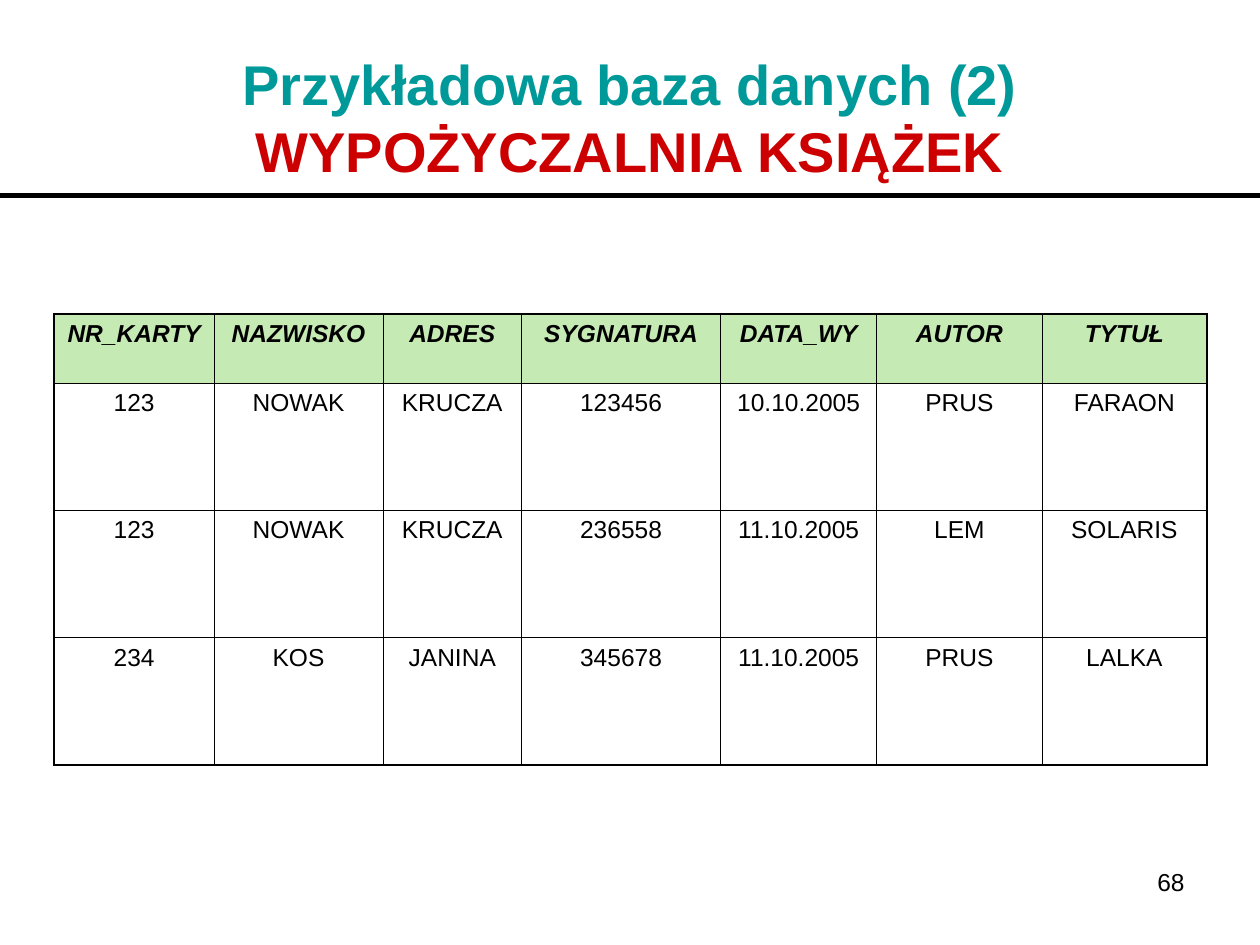
from typing import NamedTuple

import pptx
import pptx.dml.color
import pptx.enum.shapes
import pptx.enum.text
import pptx.oxml
import pptx.oxml.ns
import pptx.util
from pptx.util import Inches

ALIGN = pptx.enum.text.PP_ALIGN
ANCHOR = pptx.enum.text.MSO_ANCHOR
BLACK = "000000"
HEADER_FILL = "C6EAB4"
THIN, THICK = 0.45, 1.08


class Column(NamedTuple):
    heading: str
    width: float
    values: tuple[str, ...]


COLUMNS = [
    Column("NR_KARTY", 1.27, ("123", "123", "234")),
    Column("NAZWISKO", 1.34, ("NOWAK", "NOWAK", "KOS")),
    Column("ADRES", 1.1, ("KRUCZA", "KRUCZA", "JANINA")),
    Column("SYGNATURA", 1.58, ("123456", "236558", "345678")),
    Column("DATA_WY", 1.24, ("10.10.2005", "11.10.2005", "11.10.2005")),
    Column("AUTOR", 1.31, ("PRUS", "LEM", "PRUS")),
    Column("TYTUŁ", 1.31, ("FARAON", "SOLARIS", "LALKA")),
]
ROW_HEIGHTS = [0.55, 1.01, 1.01, 1.01]


def color(value: str) -> pptx.dml.color.RGBColor:
    return pptx.dml.color.RGBColor.from_string(value)


def add_text(paragraph, text: str, *, size: float = 14, fill: str = BLACK,
             bold: bool = False, italic: bool = False, align=ALIGN.CENTER) -> None:
    """Append a formatted run to the paragraph and align the paragraph."""
    paragraph.alignment = align
    run = paragraph.add_run()
    run.text = text
    run.font.name = "Arial"
    run.font.size = pptx.util.Pt(size)
    run.font.bold = bold
    run.font.italic = italic
    run.font.color.rgb = color(fill)


def add_text_box(slide, left: float, top: float, width: float, height: float, anchor):
    """Add a wrapping text box and return its first paragraph."""
    box = slide.shapes.add_textbox(Inches(left), Inches(top), Inches(width), Inches(height))
    box.text_frame.word_wrap = True
    box.text_frame.vertical_anchor = anchor
    return box.text_frame.paragraphs[0]


def set_borders(cell, widths: dict[str, float]) -> None:
    """Put borders before the cell's fill, as the schema requires."""
    properties = cell._tc.get_or_add_tcPr()
    for position, (side, width) in enumerate(widths.items()):
        properties.insert(position, pptx.oxml.parse_xml(
            f'<a:{side} {pptx.oxml.ns.nsdecls("a")} w="{pptx.util.Pt(width)}">'
            f'<a:solidFill><a:srgbClr val="{BLACK}"/></a:solidFill></a:{side}>'))


def add_loans_table(slide) -> None:
    last_row, last_column = len(ROW_HEIGHTS) - 1, len(COLUMNS) - 1
    table = slide.shapes.add_table(
        len(ROW_HEIGHTS), len(COLUMNS), Inches(0.43), Inches(2.49),
        Inches(sum(column.width for column in COLUMNS)), Inches(sum(ROW_HEIGHTS))).table
    table.horz_banding = False
    for row, height in zip(table.rows, ROW_HEIGHTS):
        row.height = Inches(height)
    for column_index, column in enumerate(COLUMNS):
        table.columns[column_index].width = Inches(column.width)
        for row_index, text in enumerate((column.heading, *column.values)):
            cell = table.cell(row_index, column_index)
            is_header = row_index == 0
            if is_header:
                cell.fill.solid()
                cell.fill.fore_color.rgb = color(HEADER_FILL)
            else:
                cell.fill.background()
            add_text(cell.text_frame.paragraphs[0], text, bold=is_header, italic=is_header)
            set_borders(cell, {
                "lnL": THICK if column_index == 0 else THIN,
                "lnR": THICK if column_index == last_column else THIN,
                "lnT": THICK if is_header else THIN,
                "lnB": THICK if row_index == last_row else THIN,
            })


def add_title_rule(slide) -> None:
    line = slide.shapes.add_connector(
        pptx.enum.shapes.MSO_CONNECTOR.STRAIGHT,
        Inches(0), Inches(1.55), Inches(10), Inches(1.55))
    line.line.color.rgb = color(BLACK)
    line.line.width = pptx.util.Pt(3)
    line._element.spPr.append(pptx.oxml.parse_xml(
        f'<a:effectLst {pptx.oxml.ns.nsdecls("a")}/>'))


def main() -> None:
    presentation = pptx.Presentation()
    presentation.slide_width = Inches(10)
    presentation.slide_height = Inches(7.5)
    slide = presentation.slides.add_slide(presentation.slide_layouts[6])

    title = add_text_box(slide, 0.5, 0.3, 9, 1.25, ANCHOR.MIDDLE)
    add_text(title, "Przykładowa baza danych (2)", size=32, fill="009999", bold=True)
    title.add_line_break()
    add_text(title, "WYPOŻYCZALNIA KSIĄŻEK", size=32, fill="CC0000", bold=True)

    add_loans_table(slide)
    add_title_rule(slide)

    page_number = add_text_box(slide, 7.17, 6.83, 2.33, 0.52, ANCHOR.TOP)
    add_text(page_number, "68", align=ALIGN.RIGHT)
    presentation.save("out.pptx")


if __name__ == "__main__":
    main()
